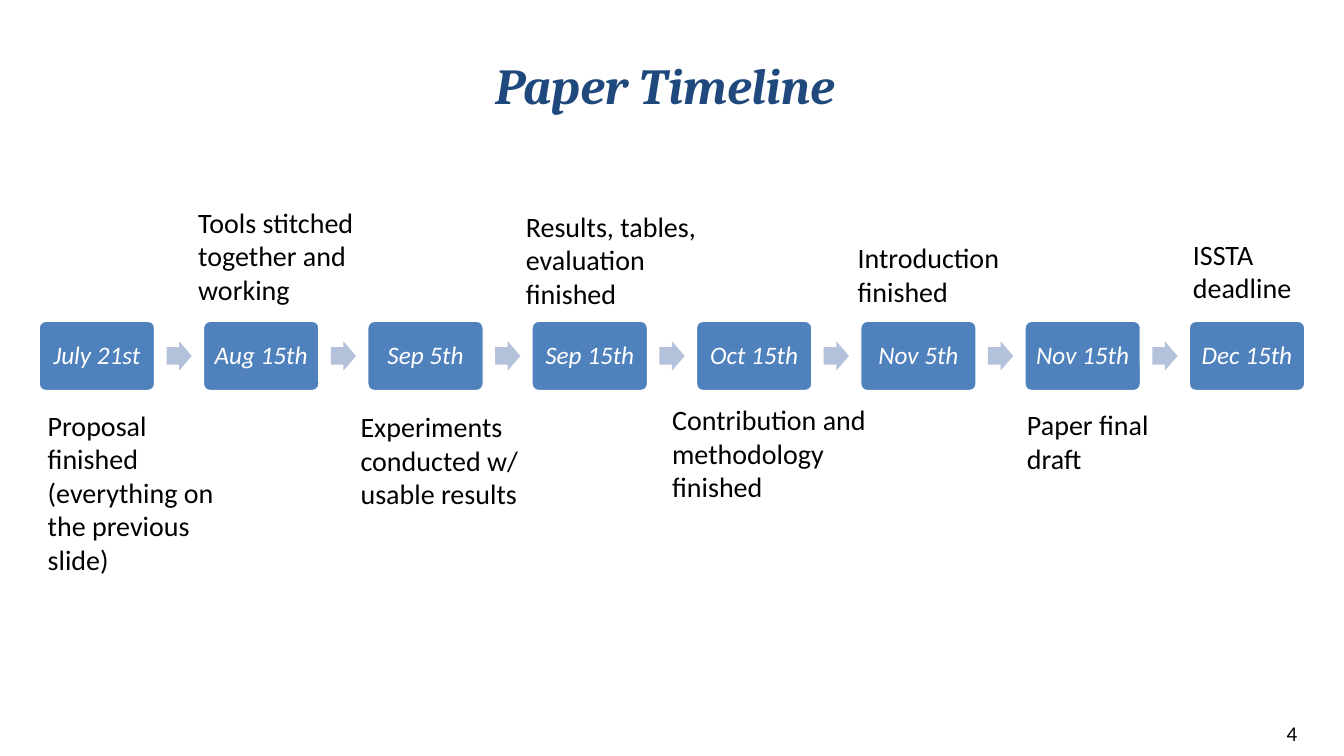
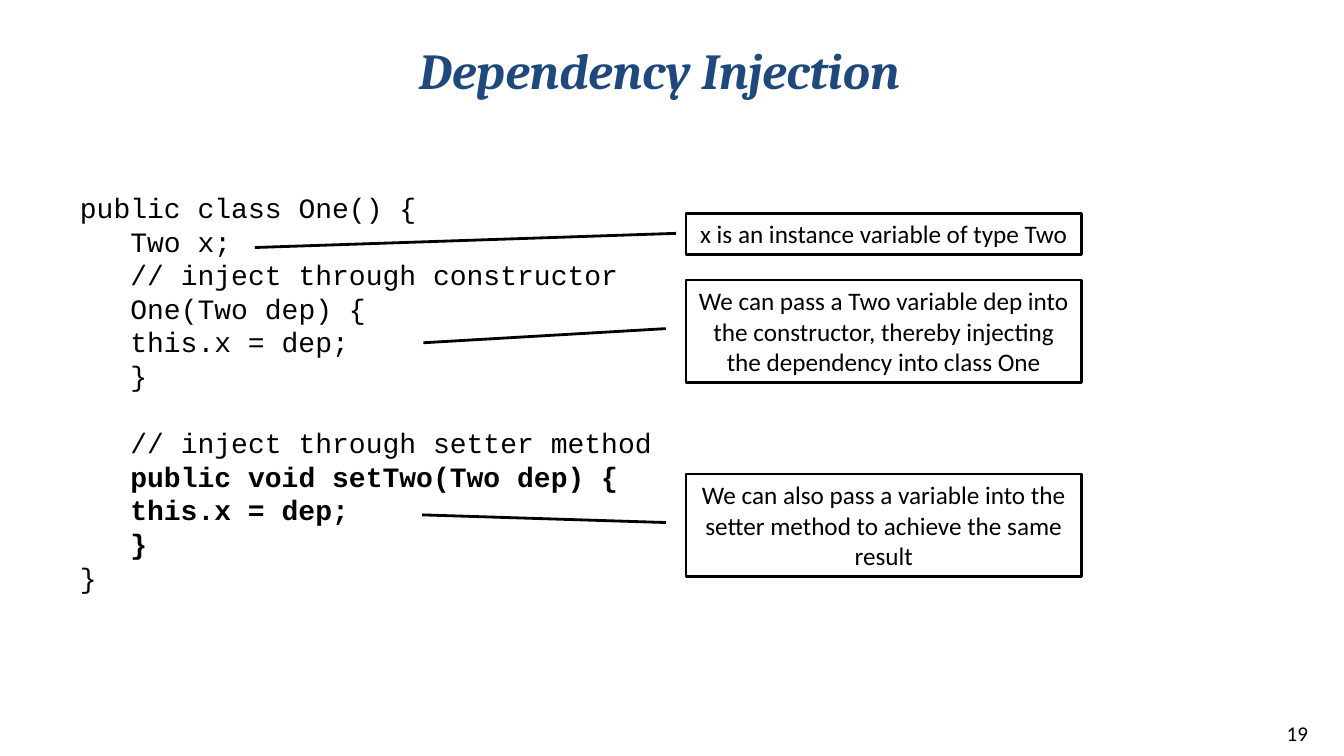
from pptx import Presentation
from pptx.dml.color import RGBColor
from pptx.enum.shapes import MSO_SHAPE as Kind
from pptx.enum.text import MSO_ANCHOR as Anchor, PP_ALIGN as Align
from pptx.util import Pt

NAVY, BLUE, PALE = "1F497D", "4F81BD", "B3C1DB"
BLACK, WHITE = "000000", "FFFFFF"
HEAD, BODY, MONO = "Cambria", "Calibri", "Courier New"
WIDE, HIGH = 960, 540

# Slide 1: date, then left, top and width of its note, and the note
DATES = [
    ("July 21st", (27, 288, 133),
     "Proposal finished (everything on the previous slide)"),
    ("Aug 15th", (134.5, 143, 133), "Tools stitched together and working"),
    ("Sep 5th", (250.5, 289, 133), "Experiments conducted w/ usable results"),
    ("Sep 15th", (368.5, 146, 142), "Results, tables, evaluation finished"),
    ("Oct 15th", (473, 284, 154), "Contribution and methodology finished"),
    ("Nov 5th", (605.5, 168.5, 122), "Introduction finished"),
    ("Nov 15th", (726.5, 287.5, 111), "Paper final draft"),
    ("Dec 15th", (845, 166, 105), "ISSTA deadline"),
]

# Slide 2: code line, bold, blank lines before it
CODE = [
    ("public class One() {", False, 0),
    ("   Two x;", False, 0),
    ("   // inject through constructor", False, 0),
    ("   One(Two dep) {", False, 0),
    ("\tthis.x = dep;", False, 0),
    ("   }", False, 0),
    ("   // inject through setter method", False, 1),
    ("   public void setTwo(Two dep) {", True, 0),
    ("\tthis.x = dep;", True, 0),
    ("   }", True, 0),
    ("}", False, 0),
]

# Slide 2: top, height, line ends (y, x, y, x as shares of the box), text
CALLS = [
    (152.5, 29, (0.489, -0.025, 0.838, -1.09),
     "x is an instance variable of type Two"),
    (200, 73, (0.476, -0.051, 0.614, -0.664),
     "We can pass a Two variable dep into the constructor, "
     "thereby injecting the dependency into class One"),
    (338.5, 73, (0.476, -0.051, 0.401, -0.667),
     "We can also pass a variable into the setter method "
     "to achieve the same result"),
]


def paint(target, color):
    """Set a solid colour on a fill or a font."""
    if hasattr(target, "solid"):
        target.solid()
        target.fore_color.rgb = RGBColor.from_string(color)
    else:
        target.color.rgb = RGBColor.from_string(color)


def style(para, size, color=BLACK, face=BODY, bold=False, ital=False):
    font = para.font
    font.size, font.name = Pt(size), face
    font.bold, font.italic = bold, ital
    paint(font, color)


def label(slide, box, text, size=20, align=Align.LEFT, anchor=Anchor.TOP,
          **look):
    frame = slide.shapes.add_textbox(*map(Pt, box)).text_frame
    frame.word_wrap = True
    frame.vertical_anchor = anchor
    para = frame.paragraphs[0]
    para.text, para.alignment = text, align
    style(para, size, **look)


def shape(slide, kind, box, fill, adjust, line=None):
    item = slide.shapes.add_shape(kind, *map(Pt, box))
    item.shadow.inherit = False
    for i, value in enumerate(adjust):
        item.adjustments[i] = value
    paint(item.fill, fill)
    if line:
        paint(item.line.fill, line)
        item.line.width = Pt(2)
    else:
        item.line.fill.background()
    return item


def caption(item, text, color=BLACK, ital=False):
    """Write centred text in a shape."""
    frame = item.text_frame
    frame.word_wrap = True
    frame.vertical_anchor = Anchor.MIDDLE
    para = frame.paragraphs[0]
    para.text, para.alignment = text, Align.CENTER
    style(para, 18, color, ital=ital)
    return frame


def base(deck, title, box, page):
    """Add a slide with its title and page number."""
    slide = deck.slides.add_slide(deck.slide_layouts[6])
    label(slide, box, title, 36, Align.CENTER, Anchor.MIDDLE,
          color=NAVY, face=HEAD, bold=True, ital=True)
    label(slide, (WIDE - 48, HIGH - 28.8, 48, 28.8), page, 15)
    return slide


def chain(slide, box):
    """Spread the dates over the box, with arrows in the gaps."""
    left, top, width, high = box
    wide = 83.5
    step = (width - wide) / (len(DATES) - 1)
    tip_w, tip_h = 18, 21
    for i, (date, _, _) in enumerate(DATES):
        x = left + i * step
        if i:
            gap = step - wide
            shape(slide, Kind.RIGHT_ARROW,
                  (x - (gap + tip_w) / 2, top + (high - tip_h) / 2,
                   tip_w, tip_h), PALE, (0.6, 0.5))
        item = shape(slide, Kind.ROUNDED_RECTANGLE, (x, top, wide, high),
                     BLUE, (0.1,), WHITE)
        frame = caption(item, date, WHITE, True)
        frame.margin_left = frame.margin_right = Pt(5)
        frame.margin_top = frame.margin_bottom = Pt(5)
        frame.paragraphs[0].line_spacing = 0.9


def notes(slide):
    for _, (x, y, width), text in DATES:
        lines = 5 if x < 100 else 3
        label(slide, (x, y, width, lines * 24 + 8), text)


def code(slide, box):
    frame = slide.shapes.add_textbox(*map(Pt, box)).text_frame
    frame.word_wrap = False
    for i, (text, bold, gap) in enumerate(CODE):
        para = frame.add_paragraph() if i else frame.paragraphs[0]
        para.add_run().text = text
        para.line_spacing = Pt(24)
        if gap:
            para.space_before = Pt(24 * gap)
        style(para, 20, face=MONO, bold=bold)


def calls(slide, left, width):
    for top, high, ends, text in CALLS:
        item = shape(slide, Kind.LINE_CALLOUT_1, (left, top, width, high),
                     WHITE, ends, BLACK)
        caption(item, text)


def main():
    deck = Presentation()
    deck.slide_width, deck.slide_height = Pt(WIDE), Pt(HIGH)

    # Timeline
    slide = base(deck, "Paper Timeline", (22, 21.5, 906, 77), "4")
    chain(slide, (27.5, 229, 905, 50.5))
    notes(slide)

    # Code with callouts
    slide = base(deck, "Dependency Injection", (24, 19.5, 894, 60), "19")
    code(slide, (50, 132.5, 426, 322.5))
    calls(slide, 490, 282.5)

    deck.save("out.pptx")


if __name__ == "__main__":
    main()
